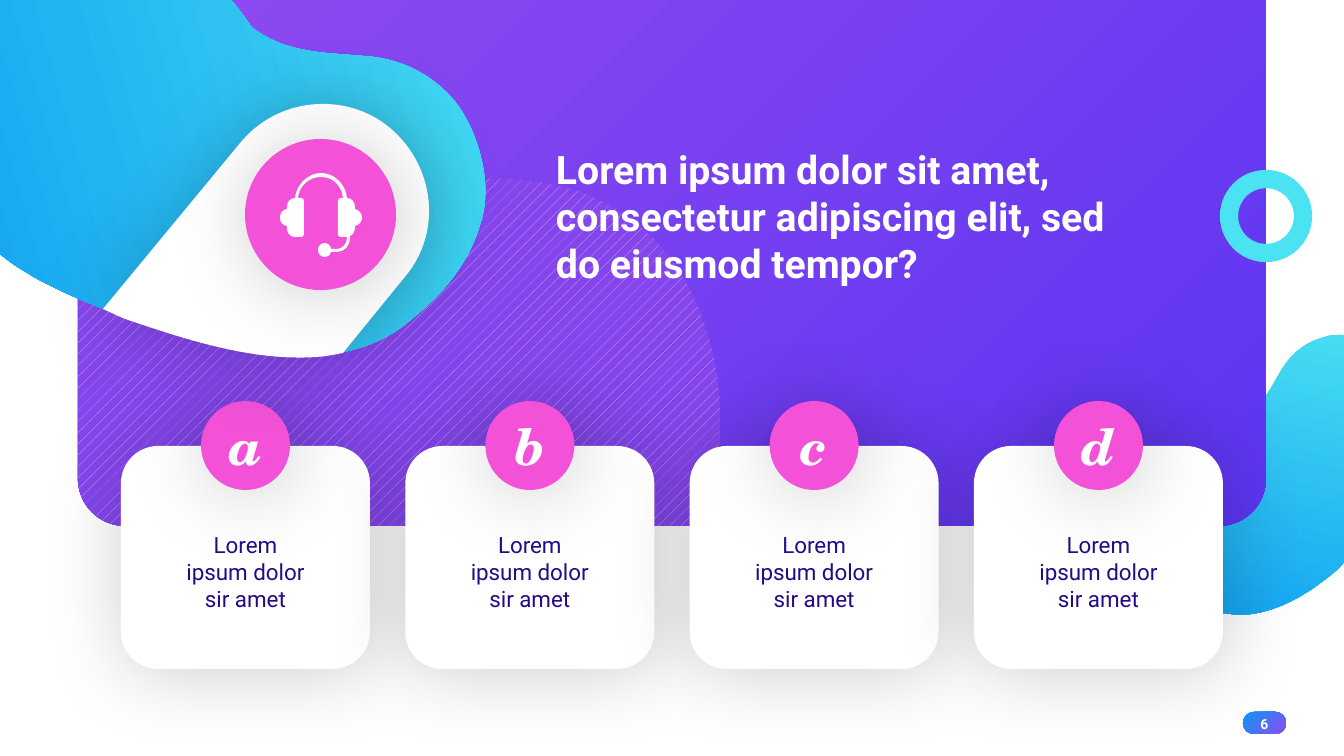
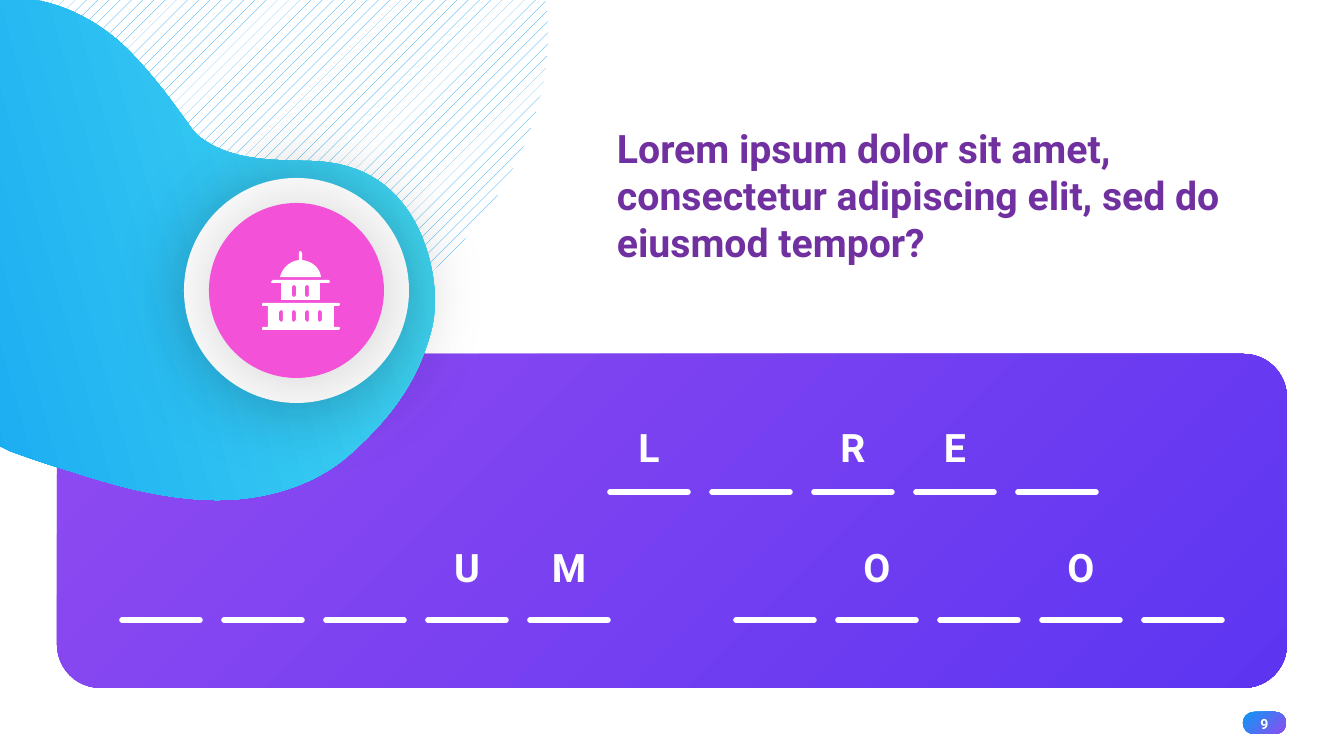
import math
import pptx
import pptx.util
import pptx.oxml
import pptx.oxml.ns
import pptx.dml.color
import pptx.enum.dml
import pptx.enum.shapes
import pptx.enum.text
import lxml.etree

SCALE = 914400 / 100.8
SLIDE_SIZE = (1344, 756)
COLOURS = {
    "white": "FFFFFF", "pink": "F251D8", "cyan": "4BE2F2", "blue": "0B9AF2",
    "purple": "904BF1", "indigo": "5D35F1", "violet": "8446EC", "lilac": "D3B7F9",
    "navy": "250A89", "plum": "7030A0", "black": "000000",
}
BODY_FONT = "Roboto"
QUESTION = {"name": BODY_FONT, "size": pptx.util.Pt(28), "bold": True}
CARD_TEXT = {"name": BODY_FONT, "size": pptx.util.Pt(16)}
CARD_LETTER = {"name": "TeX Gyre Schola", "size": pptx.util.Pt(36), "bold": True, "italic": True}
PAGE_NUMBER = {"name": BODY_FONT, "size": pptx.util.Pt(10), "bold": True}
FRAME = {
    "margin_left": 0, "margin_right": 0, "margin_top": 0, "margin_bottom": 0,
    "word_wrap": True, "auto_size": pptx.enum.text.MSO_AUTO_SIZE.NONE,
}
FORMS = pptx.enum.shapes.MSO_SHAPE
ALIGN = pptx.enum.text.PP_ALIGN
ANCHOR = pptx.enum.text.MSO_ANCHOR
qn = pptx.oxml.ns.qn

RIGHT_BLOB = [
    (1341, 335), (1344, 335), (1344, 562), (1339, 568),
    (1331, 575, 1322, 582, 1312, 589), (1294, 601, 1273, 611, 1251, 614),
    (1210, 618, 1171, 597, 1148, 566), (1138, 554, 1132, 540, 1128, 525),
    (1124, 510, 1125, 493, 1133, 478), (1143, 460, 1159, 445, 1179, 436),
    (1195, 428, 1214, 424, 1237, 420), (1240, 419, 1243, 418, 1245, 417),
    (1262, 407, 1271, 388, 1281, 371), (1291, 354, 1305, 342, 1325, 337),
    (1330, 335, 1335, 335, 1341, 335),
]
PANEL_HATCH = [
    (78, 0), (202, 0), (210, 8), (243, 44, 271, 84, 298, 124),
    (304, 132, 311, 139, 320, 144), (373, 179, 443, 177, 507, 179),
    (572, 181, 628, 205, 668, 255), (712, 310, 732, 407, 714, 475),
    (711, 487, 708, 498, 704, 508), (696, 526), (127, 526),
    (100, 526, 78, 505, 78, 478),
]
CARDS_BLOB = [
    (0, 0), (231, 0), (232, 1), (238, 8, 243, 15, 248, 22),
    (251, 27, 255, 30, 260, 33), (290, 53, 328, 53, 363, 56),
    (398, 58, 429, 72, 453, 99), (478, 129, 491, 179, 483, 214),
    (472, 260, 446, 292, 407, 323), (374, 350, 328, 359, 281, 356),
    (236, 353, 191, 340, 146, 325), (108, 311, 70, 297, 34, 277),
    (26, 272, 17, 267, 9, 261), (0, 254),
]
WHITE_DROP = [
    (323, 104), (347, 104, 371, 112, 390, 128), (435, 166, 443, 233, 404, 278),
    (343, 353), (333, 355), (317, 358, 298, 358, 281, 357),
    (236, 354, 191, 341, 146, 326), (137, 323, 127, 320, 118, 316),
    (103, 309), (241, 142), (262, 117, 292, 104, 323, 104),
]
CORNER_HATCH = [
    (-96, 0), (545, 0), (546, 4), (558, 93, 517, 183, 456, 249),
    (428, 277, 397, 301, 361, 317), (326, 332, 285, 337, 247, 327),
    (201, 313, 162, 277, 136, 236), (113, 197, 99, 153, 85, 110),
    (83, 103, 80, 97, 75, 92), (57, 70, 32, 56, 5, 46), (0, 44), (0, 0),
]
PUZZLE_BLOB = [
    (0, 0), (32, 0), (40, 1), (70, 7, 98, 23, 120, 42),
    (148, 68, 170, 98, 192, 129), (195, 133, 199, 137, 204, 140),
    (235, 161, 274, 160, 311, 161), (349, 162, 381, 175, 404, 205),
    (429, 237, 442, 292, 431, 332), (417, 384, 388, 421, 347, 457),
    (310, 488, 260, 501, 212, 500), (163, 499, 116, 486, 70, 471),
    (49, 465, 29, 458, 10, 451), (0, 446),
]
HEADSET = [
    (75, 36), (75, 34), (75, 29, 72, 25, 67, 25), (66, 12, 55, 0, 41, 0),
    (28, 0, 16, 12, 15, 25), (10, 25, 7, 29, 7, 34), (7, 36), (2, 37, 0, 40, 0, 45),
    (0, 49, 2, 52, 7, 53), (7, 55), (7, 60, 10, 64, 15, 64), (22, 64),
    (23, 64, 24, 63, 24, 62), (24, 27), (24, 26, 23, 25, 22, 25), (18, 25),
    (19, 13, 29, 4, 41, 4), (53, 4, 62, 13, 63, 25), (60, 25), (59, 25, 58, 26, 58, 27),
    (58, 62), (58, 63, 59, 64, 60, 64), (67, 64), (67, 65), (67, 71, 62, 76, 57, 76),
    (51, 76), (51, 73, 48, 70, 45, 70), (41, 70, 38, 73, 38, 77), (38, 81, 41, 84, 45, 84),
    (48, 84, 51, 82, 51, 79), (57, 79), (64, 79, 70, 73, 70, 65), (70, 63),
    (73, 62, 75, 58, 75, 55), (75, 53), (79, 52, 82, 49, 82, 45), (82, 40, 79, 37, 75, 36),
]
CAPITOL_BASE = [
    (77, 76), (72, 76), (72, 55), (77, 55), (77, 55, 78, 54, 78, 53), (78, 53, 77, 52, 77, 52),
    (1, 52), (0, 52, 0, 53, 0, 53), (0, 54, 0, 55, 1, 55), (6, 55), (6, 76), (1, 76),
    (0, 76, 0, 77, 0, 77), (0, 78, 0, 79, 1, 79), (77, 79), (77, 79, 78, 78, 78, 77),
    (78, 76, 77, 76, 77, 76),
]
CAPITOL_TIER = [
    (11, 32), (19, 32), (19, 49), (58, 49), (58, 32), (67, 32), (67, 32, 68, 32, 68, 31),
    (68, 30, 67, 29, 67, 29), (11, 29), (10, 29, 9, 30, 9, 31), (9, 32, 10, 32, 11, 32),
]
CAPITOL_DOME = [
    (59, 26), (58, 17, 50, 10, 40, 9), (40, 2), (40, 1, 39, 0, 38, 0),
    (37, 0, 37, 1, 37, 2), (37, 9), (28, 10, 20, 17, 18, 26),
]
WINDOW = [
    (4, 10), (4, 11, 3, 12, 2, 12), (1, 12, 0, 11, 0, 10), (0, 2),
    (0, 1, 1, 0, 2, 0), (3, 0, 4, 1, 4, 2), (4, 10),
]


def px(length):
    return round(length * SCALE)


def rgb(name):
    return pptx.dml.color.RGBColor.from_string(COLOURS[name])


def apply(target, values):
    for name, value in values.items():
        setattr(target, name, value)


def paint(shape, fill=None, gradient=None, hatch=None, shadow=False):
    shape.line.fill.background()
    shape.shadow.inherit = False
    if gradient:
        start, end, angle = gradient
        shape.fill.gradient()
        shape.fill.gradient_angle = angle
        for stop, name, position in zip(shape.fill.gradient_stops, (start, end), (0, 1)):
            stop.color.rgb = rgb(name)
            stop.position = position
    elif hatch:
        shape.fill.patterned()
        shape.fill.pattern = pptx.enum.dml.MSO_PATTERN.PERCENT_10
        shape.fill.fore_color.rgb, shape.fill.back_color.rgb = map(rgb, hatch)
    elif fill:
        shape.fill.solid()
        shape.fill.fore_color.rgb = rgb(fill)
    else:
        shape.fill.background()
    if shadow:
        outer = lxml.etree.SubElement(
            shape.element.spPr.find(qn("a:effectLst")), qn("a:outerShdw"),
            blurRad=str(pptx.util.Pt(59)), dist=str(pptx.util.Pt(3)),
            dir="2700000", algn="tl", rotWithShape="0")
        tint = lxml.etree.SubElement(outer, qn("a:srgbClr"), val=COLOURS["black"])
        lxml.etree.SubElement(tint, qn("a:alpha"), val="20000")
    return shape


def add_form(page, form, box, rounding=None, **look):
    shape = page.shapes.add_shape(form, *map(px, box))
    for index, value in (rounding or {}).items():
        shape.adjustments[index] = value
    return paint(shape, **look)


def turn(x, y, degrees):
    cos, sin = math.cos(math.radians(degrees)), math.sin(math.radians(degrees))
    return x * cos - y * sin, x * sin + y * cos


def shift(steps, left, top):
    return [tuple(v + (left, top)[i % 2] for i, v in enumerate(step)) for step in steps]


def add_outline(page, contours, angle=0, **look):
    builder = None
    for steps in contours:
        pairs = [step[i:i + 2] for step in steps for i in range(0, len(step), 2)]
        points = [tuple(map(px, turn(x, y, -angle))) for x, y in pairs]
        if builder:
            builder.move_to(*points[0])
        else:
            builder = page.shapes.build_freeform(*points[0])
        builder.add_line_segments(points[1:], close=True)
    shape = builder.convert_to_shape()
    segments = iter(list(shape.element.spPr.iter(qn("a:lnTo"))))
    for step in (step for steps in contours for step in steps[1:]):
        first = next(segments)
        if len(step) == 6:
            first.tag = qn("a:cubicBezTo")
            for extra in (next(segments), next(segments)):
                first.append(extra[0])
                extra.getparent().remove(extra)
    middle = turn(shape.left + shape.width / 2, shape.top + shape.height / 2, angle)
    shape.left = round(middle[0] - shape.width / 2)
    shape.top = round(middle[1] - shape.height / 2)
    shape.rotation = angle
    return paint(shape, **look)


def write(shape, text, style, colour, align=ALIGN.CENTER, anchor=ANCHOR.MIDDLE):
    frame = shape.text_frame
    apply(frame, {**FRAME, "vertical_anchor": anchor})
    para = frame.paragraphs[0]
    para.alignment = align
    span = para.add_run()
    span.text = text
    apply(span.font, style)
    span.font.color.rgb = rgb(colour)


def add_label(page, box, text, style, colour, anchor=ANCHOR.MIDDLE):
    write(page.shapes.add_textbox(*map(px, box)), text, style, colour, anchor=anchor)


def place_title(page, box, text, colour, fill=None):
    title = page.shapes.title
    apply(title, dict(zip(("left", "top", "width", "height"), map(px, box))))
    write(title, text, QUESTION, colour, ALIGN.LEFT)
    if fill:
        title.fill.solid()
        title.fill.fore_color.rgb = rgb(fill)
    page.shapes.element.append(title.element)


def add_page_number(page, number):
    add_form(page, FORMS.ROUNDED_RECTANGLE, (1243, 712, 43, 22), {0: 0.5},
             gradient=("blue", "purple", 315))
    add_label(page, (1253, 715, 23, 17), number, PAGE_NUMBER, "white")


def add_blob(page, steps, angle):
    add_outline(page, [steps], angle, gradient=("cyan", "blue", 225))


def add_disc(page, box, fill):
    add_form(page, FORMS.OVAL, box, fill=fill, shadow=True)


def add_card(page, box, letter, text):
    left, top, width, height = box
    middle = left + width / 2
    add_form(page, FORMS.ROUNDED_RECTANGLE, box, fill="white", shadow=True)
    add_disc(page, (middle - 44.5, top - 45, 89, 89), "pink")
    add_label(page, (middle - 26, top - 31, 52, 61), letter, CARD_LETTER, "white")
    add_label(page, (middle - 63.5, top + 85, 127, 81), text, CARD_TEXT, "navy", ANCHOR.TOP)


def add_card_row(page, box, letters, text):
    left, top, width, height = box
    card = 249
    pitch = (width - card) / (len(letters) - 1)
    for index, letter in enumerate(letters):
        add_card(page, (left + index * pitch, top, card, height), letter, text)


def add_capitol(page, left, top):
    for body, x, y, count in ((CAPITOL_BASE, 17, 59, 4), (CAPITOL_DOME, 0, 0, 0), (CAPITOL_TIER, 30, 34, 2)):
        windows = [shift(WINDOW, x + 13 * index, y) for index in range(count)]
        add_outline(page, [shift(steps, left, top) for steps in [body] + windows], fill="white")


def add_blank_word(page, left, baseline, rise, letters):
    pitch, dash, letter_width = 102, 78, 35
    for index, letter in enumerate(letters):
        start = left + index * pitch
        line = page.shapes.add_connector(
            pptx.enum.shapes.MSO_CONNECTOR.STRAIGHT,
            px(start), px(baseline), px(start + dash), px(baseline))
        line.line.color.rgb = rgb("white")
        line.line.width = pptx.util.Pt(4)
        line.get_or_add_ln().set("cap", "rnd")
        lxml.etree.SubElement(line.element.spPr, qn("a:effectLst"))
        if letter != "_":
            box = (start + (dash - letter_width) / 2, baseline - rise, letter_width, 47)
            add_label(page, box, letter, QUESTION, "white")


def build_cards_page(page):
    add_page_number(page, "6")
    add_blob(page, RIGHT_BLOB, 325)
    add_form(page, FORMS.ROUND_2_SAME_RECTANGLE, (78, 0, 1188, 526), {0: 0, 1: 0.09},
             gradient=("purple", "indigo", 315))
    add_outline(page, [PANEL_HATCH], 29.2, hatch=("lilac", "violet"))
    add_blob(page, CARDS_BLOB, 29.2)
    add_card_row(page, (121, 446, 1102, 223), "abcd", "Lorem ipsum dolor sir amet")
    place_title(page, (556, 145, 588, 142),
                "Lorem ipsum dolor sit amet, consectetur adipiscing elit, sed do eiusmod tempor?", "white")
    ring = add_form(page, FORMS.OVAL, (1229, 179, 74, 74))
    ring.line.color.rgb = rgb("cyan")
    ring.line.width = pptx.util.Pt(13)
    add_outline(page, [WHITE_DROP], 39.6, fill="white", shadow=True)
    add_disc(page, (245, 139, 151, 151), "pink")
    add_outline(page, [shift(HEADSET, 280, 173)], fill="white")


def build_puzzle_page(page):
    add_page_number(page, "9")
    add_outline(page, [CORNER_HATCH], 226.5, hatch=("blue", "white"))
    add_form(page, FORMS.ROUNDED_RECTANGLE, (57, 354, 1230, 334), {0: 0.13},
             gradient=("purple", "indigo", 315))
    add_blob(page, PUZZLE_BLOB, 29.2)
    add_disc(page, (184, 178, 225, 225), "white")
    add_disc(page, (209, 203, 175, 175), "pink")
    place_title(page, (617, 124, 615, 142),
                "Lorem ipsum dolor sit amet, consectetur adipiscing elit, sed do eiusmod tempor?", "plum", "white")
    add_blank_word(page, 122, 620, 77, "___UM")
    add_blank_word(page, 736, 620, 77, "_O_O_")
    add_blank_word(page, 610, 492, 69, "L_RE_")
    add_capitol(page, 262, 251)


def main():
    deck = pptx.Presentation()
    deck.slide_width, deck.slide_height = map(px, SLIDE_SIZE)
    for build in (build_cards_page, build_puzzle_page):
        build(deck.slides.add_slide(deck.slide_layouts[5]))
    deck.save("out.pptx")


if __name__ == "__main__":
    main()
